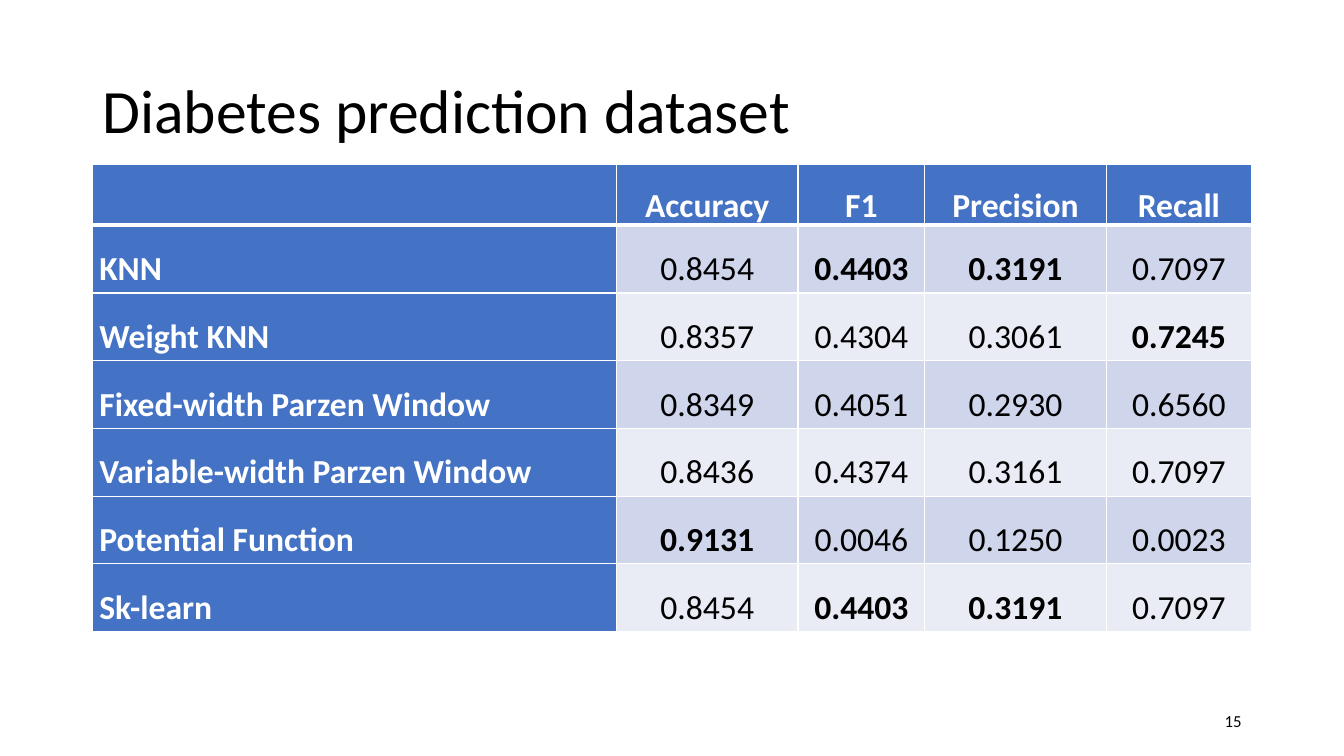
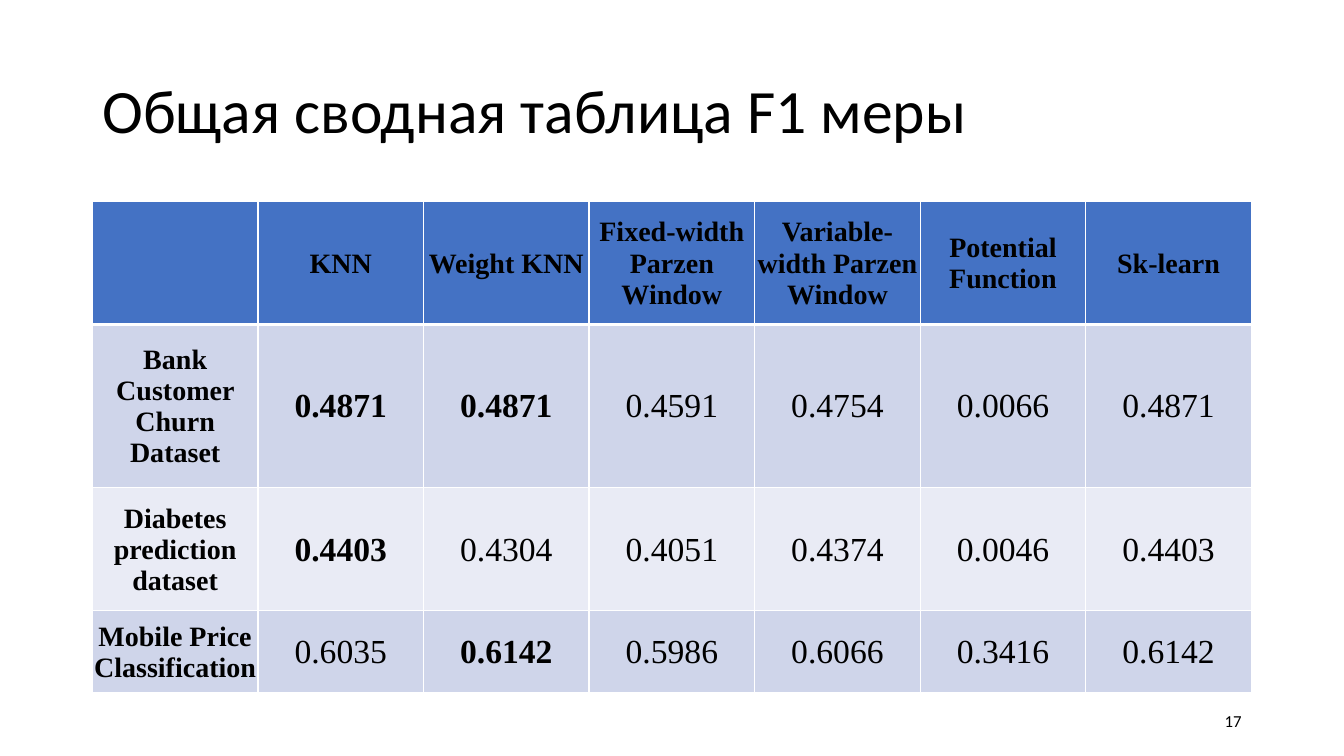
from lxml import etree
from pptx import Presentation
from pptx.dml.color import RGBColor
from pptx.enum.text import MSO_ANCHOR, PP_ALIGN
from pptx.oxml.ns import qn
from pptx.util import Pt

LEFT, CENTER, RIGHT = PP_ALIGN.LEFT, PP_ALIGN.CENTER, PP_ALIGN.RIGHT
MIDDLE = MSO_ANCHOR.MIDDLE

BLACK = RGBColor(0x00, 0x00, 0x00)
WHITE = RGBColor(0xFF, 0xFF, 0xFF)
BLUE = RGBColor(0x44, 0x72, 0xC4)
BANDS = RGBColor(0xCF, 0xD5, 0xEA), RGBColor(0xE9, 0xEB, 0xF5)

SANS, SERIF = "Calibri", "Times New Roman"
EDGE, WIDE = 66, 828

# A leading * marks a bold value.
SCORES = [
    ["", "Accuracy", "F1", "Precision", "Recall"],
    ["KNN", "0.8454", "*0.4403", "*0.3191", "0.7097"],
    ["Weight KNN", "0.8357", "0.4304", "0.3061", "*0.7245"],
    ["Fixed-width Parzen Window", "0.8349", "0.4051", "0.2930", "0.6560"],
    ["Variable-width Parzen Window", "0.8436", "0.4374", "0.3161", "0.7097"],
    ["Potential Function", "*0.9131", "0.0046", "0.1250", "0.0023"],
    ["Sk-learn", "0.8454", "*0.4403", "*0.3191", "0.7097"],
]
TOTALS = [
    ["", "KNN", "Weight KNN", "Fixed-width Parzen Window",
     "Variable-width Parzen Window", "Potential Function", "Sk-learn"],
    ["Bank Customer Churn Dataset", "*0.4871", "*0.4871", "0.4591",
     "0.4754", "0.0066", "0.4871"],
    ["Diabetes prediction dataset", "*0.4403", "0.4304", "0.4051",
     "0.4374", "0.0046", "0.4403"],
    ["Mobile Price Classification", "0.6035", "*0.6142", "0.5986",
     "0.6066", "0.3416", "0.6142"],
]


def write(frame, text, size, font=SANS, color=BLACK, bold=False,
          align=LEFT, line=1.0, after=0):
    frame.word_wrap = True
    para = frame.paragraphs[0]
    para.alignment = align
    para.line_spacing = line
    para.space_after = Pt(after)
    run = para.add_run()
    run.text = text
    run.font.size = Pt(size)
    run.font.name = font
    run.font.bold = bold
    run.font.color.rgb = color


def add_text(slide, box, text, **style):
    frame = slide.shapes.add_textbox(*map(Pt, box)).text_frame
    frame.vertical_anchor = MIDDLE
    write(frame, text, **style)


def add_rule(cell, side, width):
    """Draw one white cell border; side is L, R, T or B."""
    line = etree.SubElement(cell._tc.get_or_add_tcPr(), qn("a:ln" + side),
                            w=str(Pt(width)))
    fill = etree.SubElement(line, qn("a:solidFill"))
    etree.SubElement(fill, qn("a:srgbClr"), val=str(WHITE))


def fill_cell(cell, text, row, fill, inset, **style):
    for side in "LRTB":
        thick = (row, side) in ((0, "B"), (1, "T"))
        add_rule(cell, side, 3 if thick else 1)
    cell.fill.solid()
    cell.fill.fore_color.rgb = fill
    cell.vertical_anchor = MIDDLE
    cell.margin_left = cell.margin_right = Pt(inset[0])
    cell.margin_top, cell.margin_bottom = Pt(inset[1]), Pt(0)
    if text:
        write(cell.text_frame, text.lstrip("*"), **style)


def add_grid(slide, top, data, widths, heights, inset, head, label, side,
             **style):
    """Add a banded table; head and label format its names, side fills them."""
    box = EDGE, top, sum(widths), sum(heights)
    grid = slide.shapes.add_table(len(data), len(widths),
                                  *map(Pt, box)).table
    for col, width in zip(grid.columns, widths):
        col.width = Pt(width)
    for row, height in zip(grid.rows, heights):
        row.height = Pt(height)
    for r, row in enumerate(data):
        for c, text in enumerate(row):
            fill = BANDS[(r - 1) % 2]
            look = {"align": CENTER, "bold": text.startswith("*")}
            if r == 0:
                fill, look = BLUE, look | head
            elif c == 0:
                fill, look = side or fill, look | label
            fill_cell(grid.cell(r, c), text, r, fill, inset, **style | look)


def add_page(deck, title, number):
    slide = deck.slides.add_slide(deck.slide_layouts[6])
    add_text(slide, (EDGE, 28.8, WIDE, 104.4), title, size=44, line=0.9)
    add_text(slide, (EDGE + WIDE - 216, 500.4, 216, 28.8), str(number),
             size=12, align=RIGHT)
    return slide


def add_scores(deck):
    slide = add_page(deck, "Diabetes prediction dataset", 15)
    name = {"color": WHITE, "bold": True}
    add_grid(slide, 117.6, SCORES, [374.4, 129.6, 90.6, 129.6, 103.8],
             [36.7] + [48.4] * 6, (5, 0), name, name | {"align": LEFT}, BLUE,
             size=24, line=1.5, after=8)


def add_totals(deck):
    slide = add_page(deck, "Общая сводная таблица F1 меры", 17)
    name = {"size": 20, "bold": True}
    add_grid(slide, 144, TOTALS, [WIDE / 7] * 7, [87.8, 116.6, 87.8, 58.8],
             (0.7, 0.7), name, name, None, size=24, font=SERIF)


def main():
    deck = Presentation()
    deck.slide_width, deck.slide_height = Pt(960), Pt(540)
    add_scores(deck)
    add_totals(deck)
    deck.save("out.pptx")


if __name__ == "__main__":
    main()
